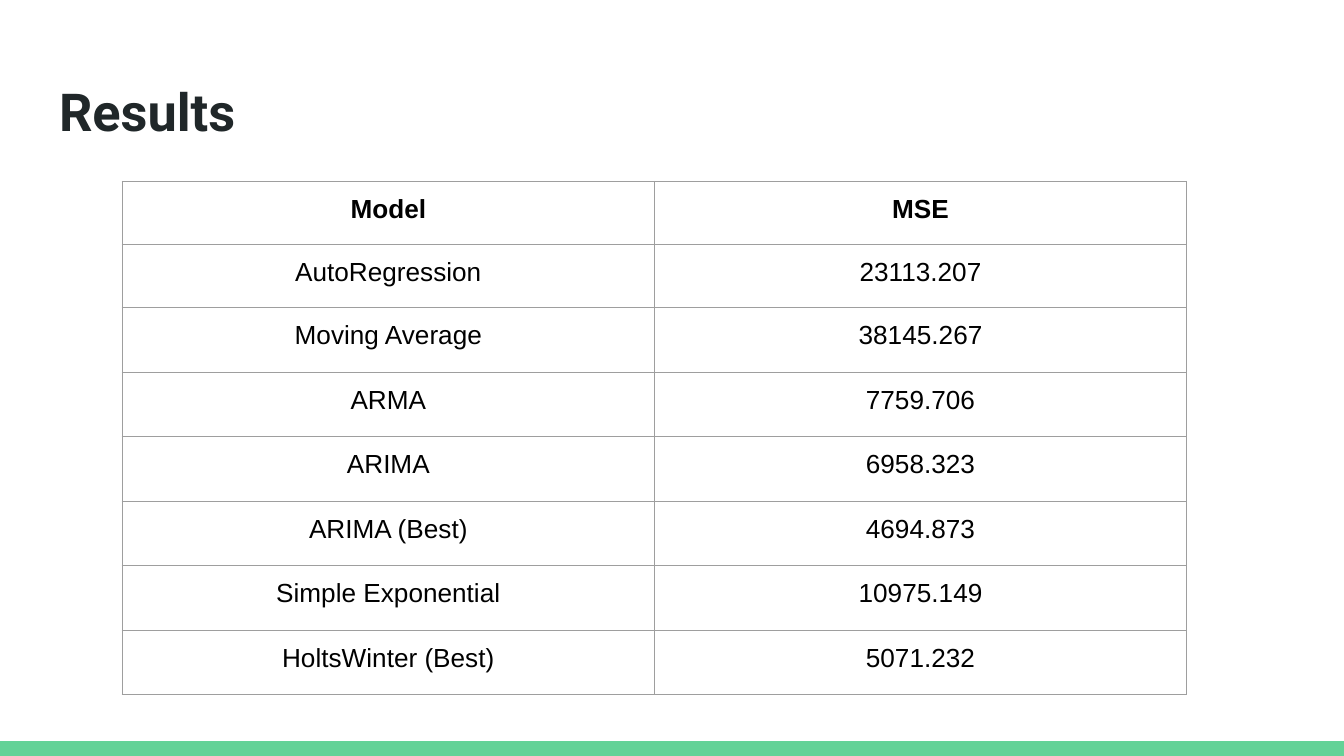
"""Build a results slide comparing the mean squared error of forecasting models."""
from lxml import etree
from pptx import Presentation
from pptx.dml.color import RGBColor
from pptx.enum.shapes import MSO_SHAPE
from pptx.enum.text import MSO_ANCHOR, PP_ALIGN
from pptx.oxml.ns import qn
from pptx.util import Inches, Pt

RECTANGLE = MSO_SHAPE.RECTANGLE
TOP = MSO_ANCHOR.TOP
LEFT, CENTER = PP_ALIGN.LEFT, PP_ALIGN.CENTER
INSET = Inches(0.1)
MARGINS = {f"margin_{side}": INSET for side in ("left", "right", "top", "bottom")}
RESULTS = [
    ("Model", "MSE"),
    ("AutoRegression", "23113.207"),
    ("Moving Average", "38145.267"),
    ("ARMA", "7759.706"),
    ("ARIMA", "6958.323"),
    ("ARIMA (Best)", "4694.873"),
    ("Simple Exponential", "10975.149"),
    ("HoltsWinter (Best)", "5071.232"),
]


def color(hex_text):
    return RGBColor.from_string(hex_text)


def write(para, text, align, hex_text, **formats):
    para.alignment = align
    span = para.add_run()
    span.text = text
    span.font.color.rgb = color(hex_text)
    for name, value in formats.items():
        setattr(span.font, name, value)


deck = Presentation()
width = Inches(10)
height = width * 9 // 16
deck.slide_width, deck.slide_height = width, height
page = deck.slides.add_slide(deck.slide_layouts[5])
page.background.fill.solid()
page.background.fill.fore_color.rgb = color("FFFFFF")

bar_height = Inches(0.11)
bar = page.shapes.add_shape(RECTANGLE, 0, height - bar_height, width, bar_height)
bar.shadow.inherit = False
bar.fill.solid()
bar.fill.fore_color.rgb = color("63D297")
bar.line.fill.background()

title = page.shapes.title
title_left = Inches(0.34)
title.left, title.top = title_left, Inches(0.49)
title.width, title.height = width - 2 * title_left, Inches(0.63)
frame = title.text_frame
for name, value in {**MARGINS, "vertical_anchor": TOP, "word_wrap": True}.items():
    setattr(frame, name, value)
write(frame.paragraphs[0], "Results", LEFT, "202729", size=Pt(28), name="Roboto", bold=True)

column_width = Inches(3.96)
row_heights = [Inches(0.47)] * 2 + [Inches(0.48)] * (len(RESULTS) - 2)
table = page.shapes.add_table(
    len(RESULTS), 2, Inches(0.91), Inches(1.35), 2 * column_width, sum(row_heights)
).table
table.first_row = table.horz_banding = False
for row_number, result in enumerate(RESULTS):
    table.rows[row_number].height = row_heights[row_number]
    for column_number, text in enumerate(result):
        cell = table.cell(row_number, column_number)
        for name, value in {**MARGINS, "vertical_anchor": TOP}.items():
            setattr(cell, name, value)
        properties = cell._tc.get_or_add_tcPr()
        for edge in ("lnL", "lnR", "lnT", "lnB"):
            border = etree.SubElement(properties, qn(f"a:{edge}"), w=str(Pt(0.75)))
            fill = etree.SubElement(border, qn("a:solidFill"))
            etree.SubElement(fill, qn("a:srgbClr"), val="9E9E9E")
        cell.fill.background()
        write(cell.text_frame.paragraphs[0], text, CENTER, "000000",
              size=Pt(14), name="Arial", bold=row_number == 0)

deck.save("out.pptx")
